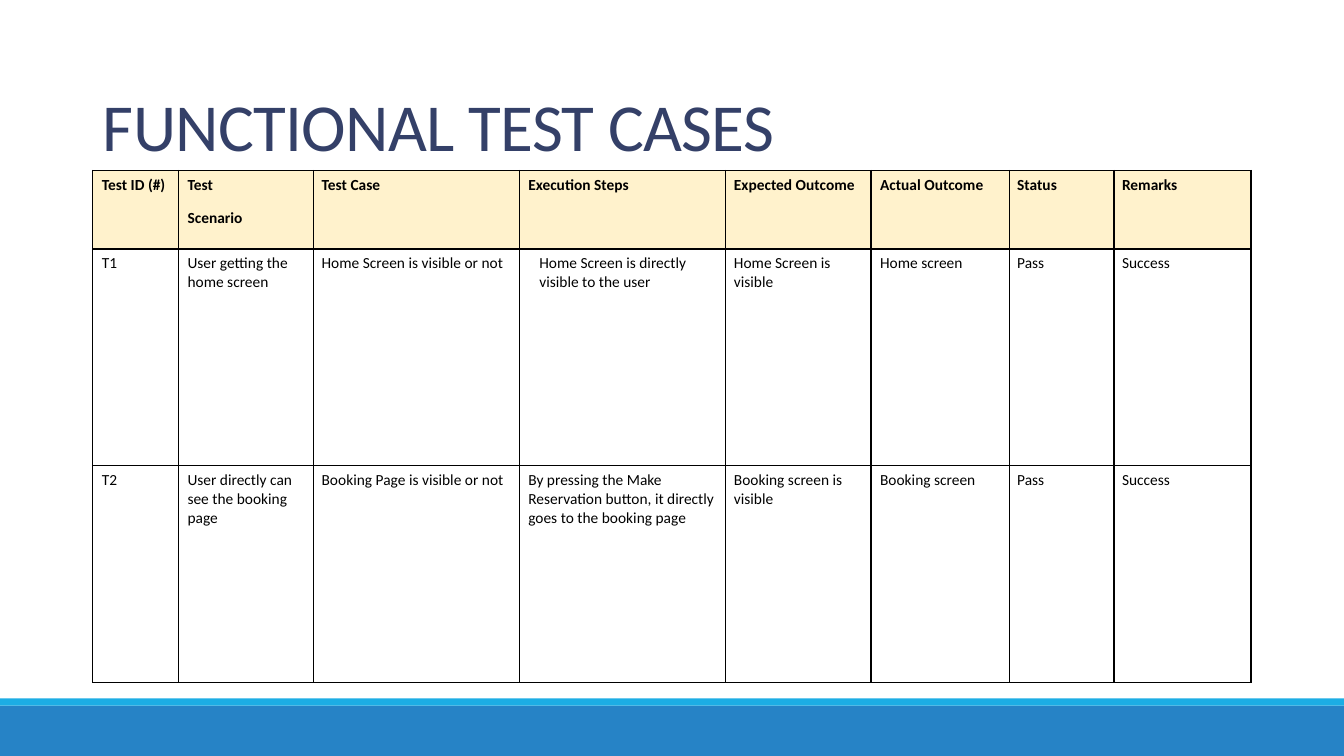
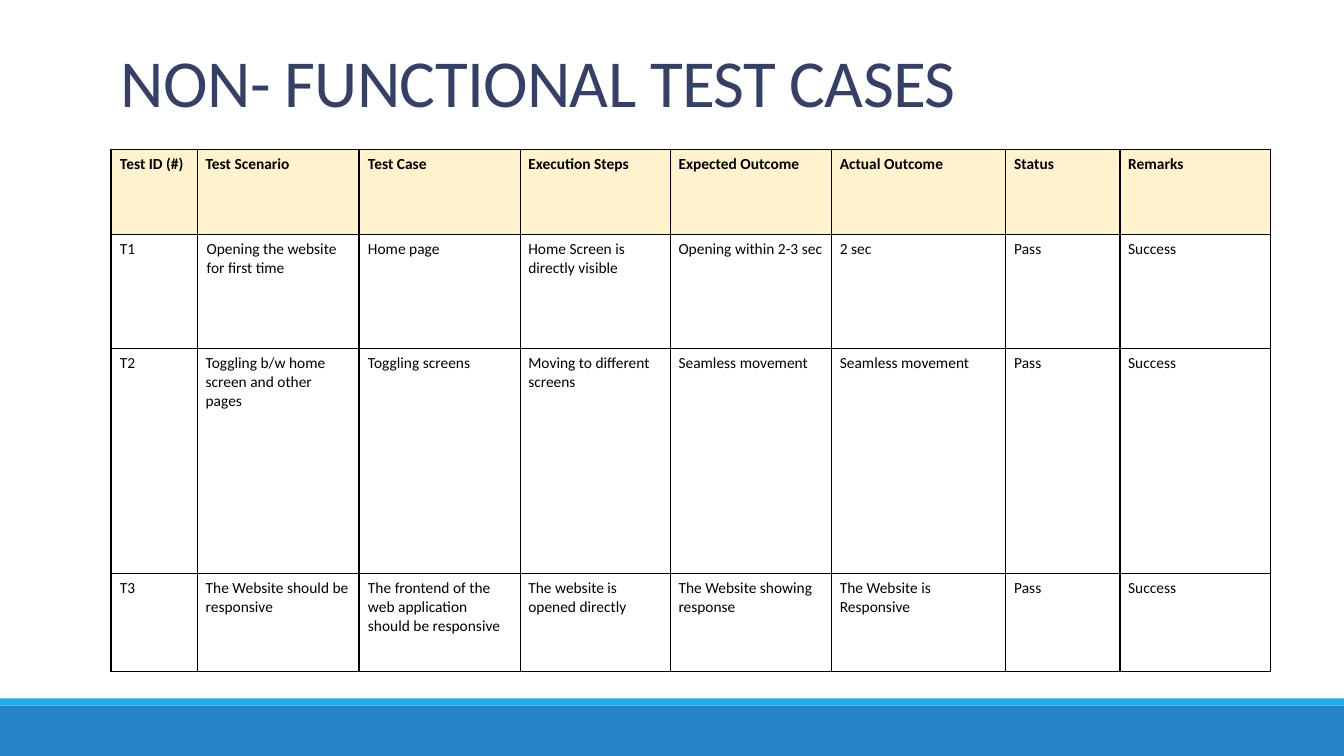
import pptx
import pptx.dml.color
import pptx.enum.shapes
import pptx.enum.text
import pptx.oxml
import pptx.oxml.ns
import pptx.util

WIDTH, HEIGHT = 133.3, 75
NAVY, BLUE, CYAN, CREAM, BLACK = "344068", "2683C6", "1CADE4", "FFF2CC", "000000"
HEADINGS = ["Test ID (#)", "Test Scenario", "Test Case", "Execution Steps",
            "Expected Outcome", "Actual Outcome", "Status", "Remarks"]


def grid(units):
    """Turn grid columns or rows, ten to the inch, into a length."""
    return pptx.util.Inches(units / 10)


def color(hex_code):
    """Turn a hex string into a colour."""
    return pptx.dml.color.RGBColor.from_string(hex_code)


def write(frame, text, size=11, ink=BLACK, bold=False, after=0, indent=0, leading=None, tracking=None):
    """Fill a text frame with one formatted paragraph per line of text."""
    frame.word_wrap = True
    for number, line in enumerate(text.split("\n")):
        paragraph = frame.add_paragraph() if number else frame.paragraphs[0]
        paragraph.alignment = pptx.enum.text.PP_ALIGN.LEFT
        paragraph.space_after = pptx.util.Pt(after)
        if leading:
            paragraph.line_spacing = leading
        if indent:
            paragraph._p.get_or_add_pPr().set("marL", str(grid(indent)))
        run = paragraph.add_run()
        run.text = line
        run.font.name = "Calibri"
        run.font.size = pptx.util.Pt(size)
        run.font.bold = bold
        run.font.color.rgb = color(ink)
        if tracking:
            run._r.get_or_add_rPr().set("spc", str(round(tracking * 100)))


class Deck:
    """Hold the shared style and the slide being built."""

    def __init__(self):
        """Start an empty wide presentation."""
        self.presentation = pptx.Presentation()
        self.presentation.slide_width = grid(WIDTH)
        self.presentation.slide_height = grid(HEIGHT)
        self.slide = None

    def start(self, title, left, top, width, height):
        """Add a slide with its footer bands and title."""
        self.slide = self.presentation.slides.add_slide(self.presentation.slide_layouts[5])
        self.band(70, 5, BLUE)
        self.band(69.3, 0.7, CYAN)
        heading = self.slide.shapes.title
        heading.left, heading.top = grid(left), grid(top)
        heading.width, heading.height = grid(width), grid(height)
        frame = heading.text_frame
        frame.vertical_anchor = pptx.enum.text.MSO_ANCHOR.BOTTOM
        frame.auto_size = pptx.enum.text.MSO_AUTO_SIZE.NONE
        write(frame, title, size=48, ink=NAVY, leading=0.85, tracking=-0.5)

    def band(self, top, height, fill):
        """Draw a full-width footer band."""
        footer = self.slide.shapes.add_shape(
            pptx.enum.shapes.MSO_SHAPE.RECTANGLE, 0, grid(top), grid(WIDTH), grid(height))
        footer.shadow.inherit = False
        footer.fill.solid()
        footer.fill.fore_color.rgb = color(fill)
        footer.line.fill.background()

    def border(self, cell):
        """Rule all four sides of a cell."""
        properties = cell._tc.get_or_add_tcPr()
        for side in "LRTB":
            properties.append(pptx.oxml.parse_xml(
                f'<a:ln{side} {pptx.oxml.ns.nsdecls("a")} w="12700"><a:solidFill>'
                f'<a:srgbClr val="{BLACK}"/></a:solidFill></a:ln{side}>'))

    def table(self, left, top, columns, heights, cases, header=True, nudged=(), indents=None):
        """Draw a table of test cases and return where it ends."""
        indents = indents or {}
        grid_frame = self.slide.shapes.add_table(
            len(heights), len(columns), grid(left), grid(top), grid(sum(columns)), grid(sum(heights)))
        table = grid_frame.table
        table.first_row = header
        table.horz_banding = False
        for column, width in zip(table.columns, columns):
            column.width = grid(width)
        for row, height in zip(table.rows, heights):
            row.height = grid(height)
        for r, case in enumerate(cases):
            is_heading = header and r == 0
            for c, text in enumerate(case):
                cell = table.cell(r, c)
                cell.margin_left = cell.margin_right = grid(0.8)
                cell.margin_top = cell.margin_bottom = grid(0.5)
                self.border(cell)
                if is_heading:
                    cell.fill.solid()
                    cell.fill.fore_color.rgb = color(CREAM)
                else:
                    cell.fill.background()
                indent = indents.get((r, c), 0.1 if c in nudged else 0)
                write(cell.text_frame, text, bold=is_heading, after=10, indent=indent)
        return top + sum(heights)


def main():
    """Build and save the two test case slides."""
    deck = Deck()

    deck.start("FUNCTIONAL TEST CASES", 9.2, 1, 112.5, 15.9)
    functional_headings = [h.replace("Test Scenario", "Test\nScenario") for h in HEADINGS]
    deck.table(9.2, 16.9, [8.5, 13.4, 20.4, 20.5, 14.4, 13.7, 10.4, 13.6], [7.8, 21.5, 21.5], [
        functional_headings,
        ["T1", "User getting the home screen", "Home Screen is visible or not",
         "Home Screen is directly visible to the user", "Home Screen is visible",
         "Home screen", "Pass", "Success"],
        ["T2", "User directly can see the booking page", "Booking Page is visible or not",
         "By pressing the Make Reservation button, it directly goes to the booking page",
         "Booking screen is visible", "Booking screen", "Pass", "Success"],
    ], nudged=(0, 1, 3, 5), indents={(1, 3): 1.2})

    deck.start("NON- FUNCTIONAL TEST CASES", 11, 4, 113.2, 8.5)
    columns = [8.6, 16, 16, 14.9, 16, 17.2, 11.4, 14.9]
    nudged = (0, 2, 6)
    first_end = deck.table(11, 14.8, columns, [8.5, 11.3], [
        HEADINGS,
        ["T1", "Opening the website for first time", "Home page", "Home Screen is directly visible",
         "Opening within 2-3 sec", "2 sec", "Pass", "Success"],
    ], nudged=nudged, indents={(1, 1): 0.1})
    deck.table(11, first_end, columns, [22.3, 9.7], [
        ["T2", "Toggling b/w home screen and other pages", "Toggling screens",
         "Moving to different screens", "Seamless movement", "Seamless movement", "Pass", "Success"],
        ["T3", "The Website should be responsive",
         "The frontend of the web application should be responsive", "The website is opened directly",
         "The Website showing response", "The Website is Responsive", "Pass", "Success"],
    ], header=False, nudged=nudged)

    deck.presentation.save("out.pptx")


if __name__ == "__main__":
    main()
